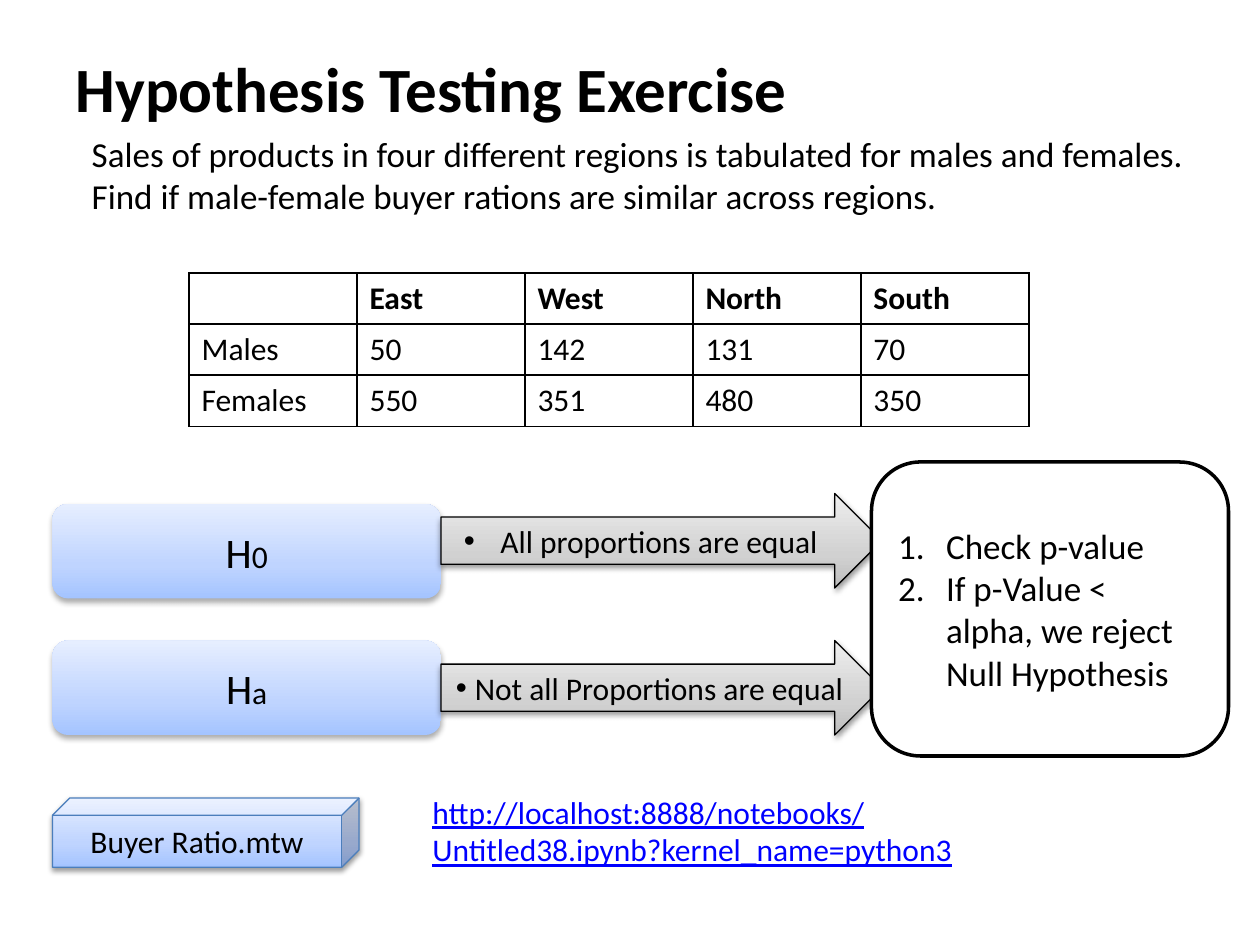
from lxml.etree import SubElement
from pptx import Presentation
from pptx.dml.color import RGBColor
from pptx.enum.shapes import MSO_SHAPE
from pptx.enum.text import MSO_ANCHOR, PP_ALIGN
from pptx.oxml import parse_xml
from pptx.oxml.ns import nsdecls, qn
from pptx.util import Inches, Pt

COLUMNS, ROWS = 120, 90
BLUES = ((0, "A4C4FF"), (35, "BFD4FF"), (100, "E6EEFF"))
GREYS = ((0, "BDBDBD"), (35, "D1D1D1"), (100, "EEEEEE"))
SOFT_SHADOW = (38, 3.1, 1.6)
DEEP_SHADOW = (32, 3.5, 2.2)


def color(value):
    return RGBColor.from_string(value)


class SlideBuilder:
    font_name = "Calibri"
    ink = "000000"

    def __init__(self, presentation):
        self.slide = presentation.slides.add_slide(presentation.slide_layouts[5])
        self.column = presentation.slide_width / COLUMNS
        self.row = presentation.slide_height / ROWS

    def area(self, left, top, width, height):
        return (round(left * self.column), round(top * self.row),
                round(width * self.column), round(height * self.row))

    def styled_run(self, paragraph, text, size, bold=False, ink=None, underline=False):
        run = paragraph.add_run()
        run.text = text
        font = run.font
        font.name, font.size, font.bold = self.font_name, Pt(size), bold
        font.underline = underline
        font.color.rgb = color(ink or self.ink)

    def indent(self, paragraph, margin, hanging=0, bullet=None):
        properties = paragraph._p.get_or_add_pPr()
        properties.set("marL", str(Inches(margin)))
        properties.set("indent", str(-Inches(hanging)))
        if bullet == "number":
            SubElement(properties, qn("a:buFont"), typeface="+mj-lt")
            SubElement(properties, qn("a:buAutoNum"), type="arabicPeriod")
        elif bullet:
            SubElement(properties, qn("a:buFont"), typeface="Arial")
            SubElement(properties, qn("a:buChar"), char=bullet)

    def title(self, text, area):
        title = self.slide.shapes.title
        title.left, title.top, title.width, title.height = self.area(*area)
        title.text_frame.vertical_anchor = MSO_ANCHOR.MIDDLE
        paragraph = title.text_frame.paragraphs[0]
        paragraph.alignment = PP_ALIGN.LEFT
        self.styled_run(paragraph, text, 36, bold=True)

    def text(self, text, area, size, margin=0, **style):
        frame = self.slide.shapes.add_textbox(*self.area(*area)).text_frame
        frame.word_wrap = True
        paragraph = frame.paragraphs[0]
        self.indent(paragraph, margin)
        self.styled_run(paragraph, text, size, **style)

    def shape(self, kind, area, fill, line=None, line_width=0.75, shadow=None):
        shape = self.slide.shapes.add_shape(kind, *self.area(*area))
        shape.shadow.inherit = False
        if isinstance(fill, str):
            shape.fill.solid()
            shape.fill.fore_color.rgb = color(fill)
        else:
            self.gradient(shape, fill)
        if line:
            shape.line.color.rgb = color(line)
            shape.line.width = Pt(line_width)
        else:
            shape.line.fill.background()
        if shadow:
            self.cast_shadow(shape, *shadow)
        shape.text_frame.word_wrap = True
        shape.text_frame.vertical_anchor = MSO_ANCHOR.MIDDLE
        paragraph = shape.text_frame.paragraphs[0]
        paragraph.alignment = PP_ALIGN.CENTER
        return shape.text_frame, paragraph

    def gradient(self, shape, stops):
        marks = "".join(f'<a:gs pos="{place * 1000}"><a:srgbClr val="{tone}"/></a:gs>'
                        for place, tone in stops)
        shape._element.spPr.find(qn("a:prstGeom")).addnext(parse_xml(
            f'<a:gradFill {nsdecls("a")} rotWithShape="1"><a:gsLst>{marks}</a:gsLst>'
            '<a:lin ang="16200000" scaled="0"/></a:gradFill>'))

    def cast_shadow(self, shape, opacity, blur, distance):
        shape._element.spPr.find(qn("a:effectLst")).append(parse_xml(
            f'<a:outerShdw {nsdecls("a")} blurRad="{Pt(blur)}" dist="{Pt(distance)}" '
            f'dir="5400000" rotWithShape="0"><a:srgbClr val="{self.ink}">'
            f'<a:alpha val="{opacity * 1000}"/></a:srgbClr></a:outerShdw>'))

    def table(self, rows, area, size):
        table = self.slide.shapes.add_table(
            len(rows), len(rows[0]), *self.area(*area)).table
        table.horz_banding = False
        for row_index, values in enumerate(rows):
            for column_index, value in enumerate(values):
                cell = table.cell(row_index, column_index)
                cell.fill.background()
                self.border(cell)
                if value:
                    self.styled_run(cell.text_frame.paragraphs[0], value, size,
                                    bold=row_index == 0)

    def border(self, cell):
        properties = cell._tc.get_or_add_tcPr()
        for place, side in enumerate("LRTB"):
            properties.insert(place, parse_xml(
                f'<a:ln{side} {nsdecls("a")} w="{Pt(1)}"><a:solidFill>'
                f'<a:srgbClr val="{self.ink}"/></a:solidFill></a:ln{side}>'))


presentation = Presentation()
presentation.slide_width, presentation.slide_height = Inches(10), Inches(7.5)
builder = SlideBuilder(presentation)

builder.title("Hypothesis Testing Exercise", (6, 3.6, 108, 9.4))
builder.text("Sales of products in four different regions is tabulated for males and "
             "females. Find if male-female buyer rations are similar across regions.",
             (3, 12, 115, 10), 20, margin=0.38)
builder.table([["", "East", "West", "North", "South"],
               ["Males", "50", "142", "131", "70"],
               ["Females", "550", "351", "480", "350"]], (18, 26, 80, 14.6), 18)

hypotheses = [("0", 48, 47, "All proportions are equal", 0.29),
              ("a", 61, 61, "Not all Proportions are equal", 0.15)]
for suffix, box_top, arrow_top, claim, hanging in hypotheses:
    frame, paragraph = builder.shape(MSO_SHAPE.ROUNDED_RECTANGLE, (5, box_top, 37, 9),
                                     BLUES, shadow=DEEP_SHADOW)
    builder.styled_run(paragraph, "H", 24)
    builder.styled_run(paragraph, suffix, 18)
    frame, paragraph = builder.shape(MSO_SHAPE.RIGHT_ARROW, (42, arrow_top, 42, 9),
                                     GREYS, builder.ink, shadow=SOFT_SHADOW)
    builder.indent(paragraph, 0.15, hanging, "•")
    builder.styled_run(paragraph, claim, 18)

frame, paragraph = builder.shape(MSO_SHAPE.ROUNDED_RECTANGLE, (83, 44, 34, 28),
                                 "FFFFFF", builder.ink, 2)
for step in ("Check p-value", "If p-Value < alpha, we reject Null Hypothesis"):
    if paragraph.runs:
        paragraph = frame.add_paragraph()
    paragraph.alignment = PP_ALIGN.LEFT
    builder.indent(paragraph, 0.38, 0.38, "number")
    builder.styled_run(paragraph, step, 20)

frame, paragraph = builder.shape(MSO_SHAPE.CUBE, (5, 76, 29.2, 6.6), BLUES, "4B7EBC",
                                 shadow=SOFT_SHADOW)
builder.styled_run(paragraph, "Buyer Ratio.mtw", 18)
builder.text("http://localhost:8888/notebooks/Untitled38.ipynb?kernel_name=python3",
             (40, 74.9, 60, 12.1), 18, ink="0000FF", underline=True)

presentation.save("out.pptx")
